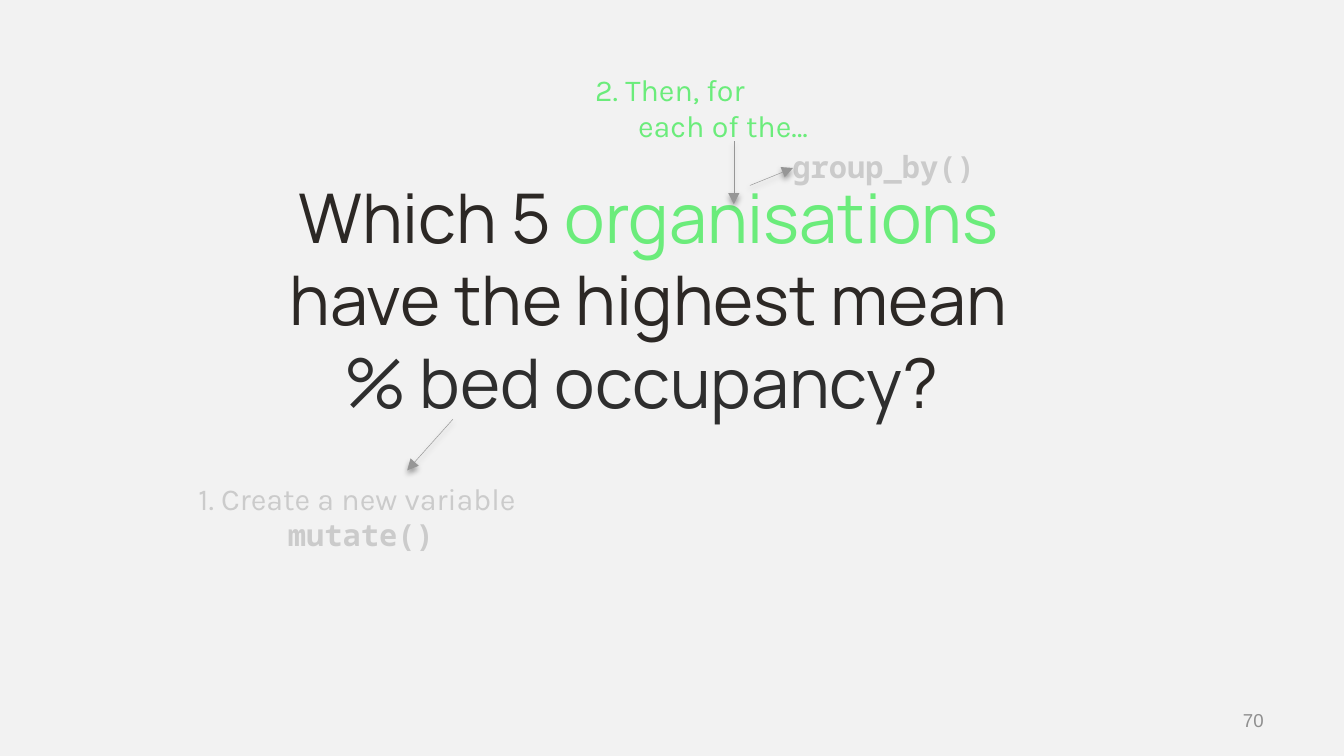
from dataclasses import dataclass

from lxml.etree import SubElement
from pptx import Presentation
from pptx.dml.color import RGBColor
from pptx.enum.shapes import MSO_CONNECTOR
from pptx.enum.text import MSO_ANCHOR, PP_ALIGN
from pptx.oxml.ns import qn
from pptx.util import Inches, Pt


@dataclass(frozen=True)
class Theme:
    back: str = "F2F2F2"
    ink: str = "2C2825"
    slate: str = "2E2E2E"
    green: str = "6BEC7B"
    faded: str = "CBCBCB"
    arrow: str = "969696"
    shade: str = "000000"
    page: str = "8F8F8F"
    title_size: float = 36.7
    note_size: float = 16.3
    page_size: float = 10


THEME = Theme()
TITLE = {"name": "Manrope", "size": Pt(THEME.title_size)}
NOTE = {"name": "Karla", "size": Pt(THEME.note_size)}
CODE = {"name": "Noto Sans Mono", "size": Pt(THEME.note_size), "bold": True}
PAGE = {"name": "Arial", "size": Pt(THEME.page_size)}


def apply(target, values):
    for key, value in values.items():
        setattr(target, key, value)


def add_text(slide, place, lines, align=PP_ALIGN.CENTER, **values):
    box = slide.shapes.add_textbox(*map(Inches, place))
    frame = box.text_frame
    apply(frame, {"word_wrap": True, **values})
    for index, runs in enumerate(lines):
        para = frame.paragraphs[0] if index == 0 else frame.add_paragraph()
        para.alignment = align
        for text, style, color in runs:
            for part, piece in enumerate(text.split("\n")):
                if part:
                    para.add_line_break()
                run = para.add_run()
                run.text = piece
                apply(run.font, style)
                run.font.color.rgb = RGBColor.from_string(color)
    return frame


def hang(para, indent):
    props = para._p.get_or_add_pPr()
    props.set("marL", str(Inches(indent)))
    props.set("indent", str(-Inches(indent)))


def add_arrow(slide, start, end):
    line = slide.shapes.add_connector(
        MSO_CONNECTOR.STRAIGHT, *map(Inches, start + end)
    )
    line.line.color.rgb = RGBColor.from_string(THEME.arrow)
    line.line.width = Pt(0.25)
    props = line._element.spPr
    SubElement(props.find(qn("a:ln")), qn("a:tailEnd"), type="triangle")
    effects = SubElement(props, qn("a:effectLst"))
    shadow = SubElement(
        effects, qn("a:outerShdw"), blurRad=str(Pt(3.1)),
        dist=str(Pt(1.6)), dir="5400000", rotWithShape="0",
    )
    color = SubElement(shadow, qn("a:srgbClr"), val=THEME.shade)
    SubElement(color, qn("a:alpha"), val="38000")


def add_title(slide):
    runs = [
        ("Which 5 ", TITLE, THEME.ink),
        ("organisations", TITLE, THEME.green),
        (" have the highest mean ", TITLE, THEME.ink),
        ("% bed occupancy", TITLE, THEME.slate),
        ("? ", TITLE, THEME.ink),
    ]
    sides = ("left", "top", "right", "bottom")
    insets = {f"margin_{side}": Inches(0.08) for side in sides}
    add_text(slide, (1.96, 2.36, 5.73, 0.86), [runs],
             vertical_anchor=MSO_ANCHOR.BOTTOM, **insets)


def add_notes(slide):
    add_text(slide, (1.14, 3.52, 3.09, 0.65), [
        [("1. Create a new variable ", NOTE, THEME.faded)],
        [("mutate()", CODE, THEME.faded)],
    ])
    frame = add_text(slide, (4.33, 0.48, 2.1, 1.2), [
        [("2. Then, for \neach of the…", NOTE, THEME.green)],
    ], PP_ALIGN.LEFT)
    hang(frame.paragraphs[0], 0.32)
    add_text(slide, (5.03, 1.05, 3.09, 0.38), [
        [("group_by()", CODE, THEME.faded)],
    ])


def main():
    deck = Presentation()
    width = Inches(10)
    apply(deck, {"slide_width": width, "slide_height": width * 9 // 16})
    slide = deck.slides.add_slide(deck.slide_layouts[6])
    fill = slide.background.fill
    fill.solid()
    fill.fore_color.rgb = RGBColor.from_string(THEME.back)

    add_title(slide)
    add_text(slide, (8.49, 5.21, 1.01, 0.3), [[("70", PAGE, THEME.page)]],
             PP_ALIGN.RIGHT, vertical_anchor=MSO_ANCHOR.MIDDLE)
    add_notes(slide)
    for start, end in (
        ((3.37, 3.12), (3.03, 3.5)),
        ((5.46, 1.05), (5.46, 1.52)),
        ((5.58, 1.38), (5.9, 1.25)),
    ):
        add_arrow(slide, start, end)
    deck.save("out.pptx")


if __name__ == "__main__":
    main()
